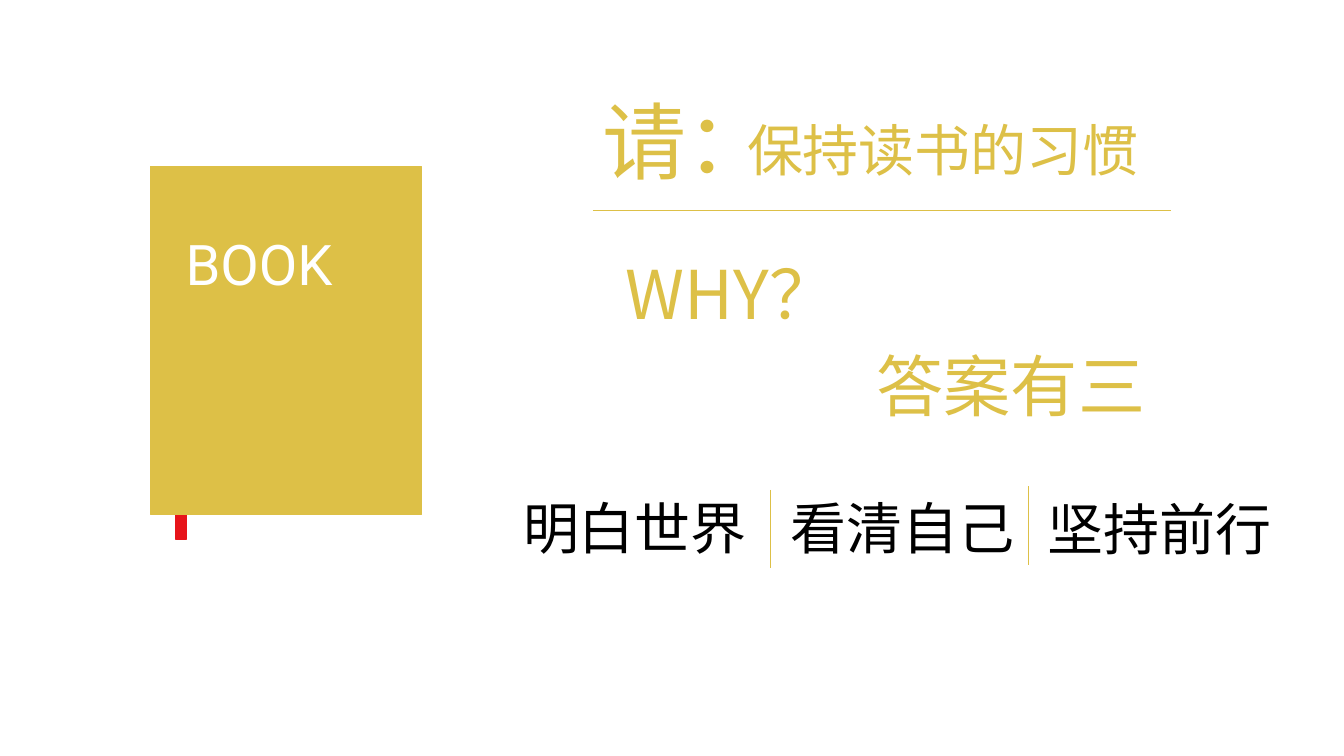
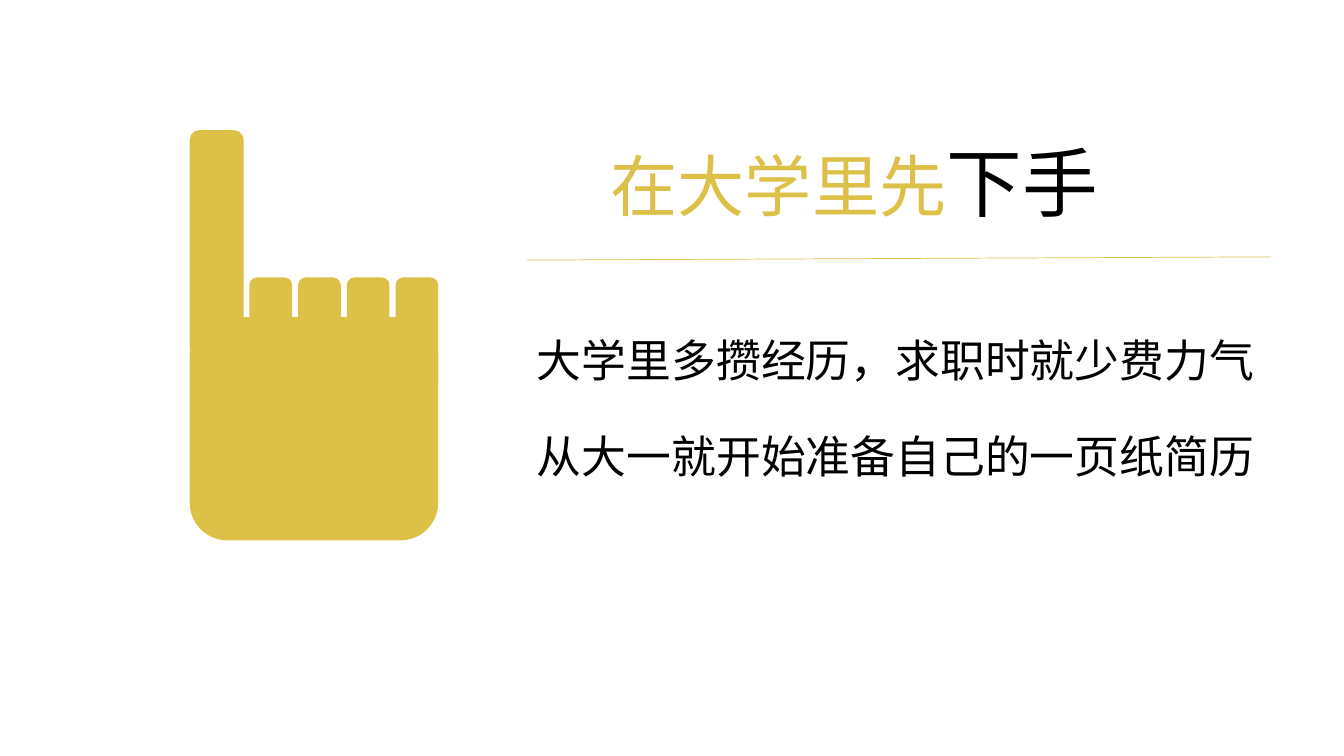
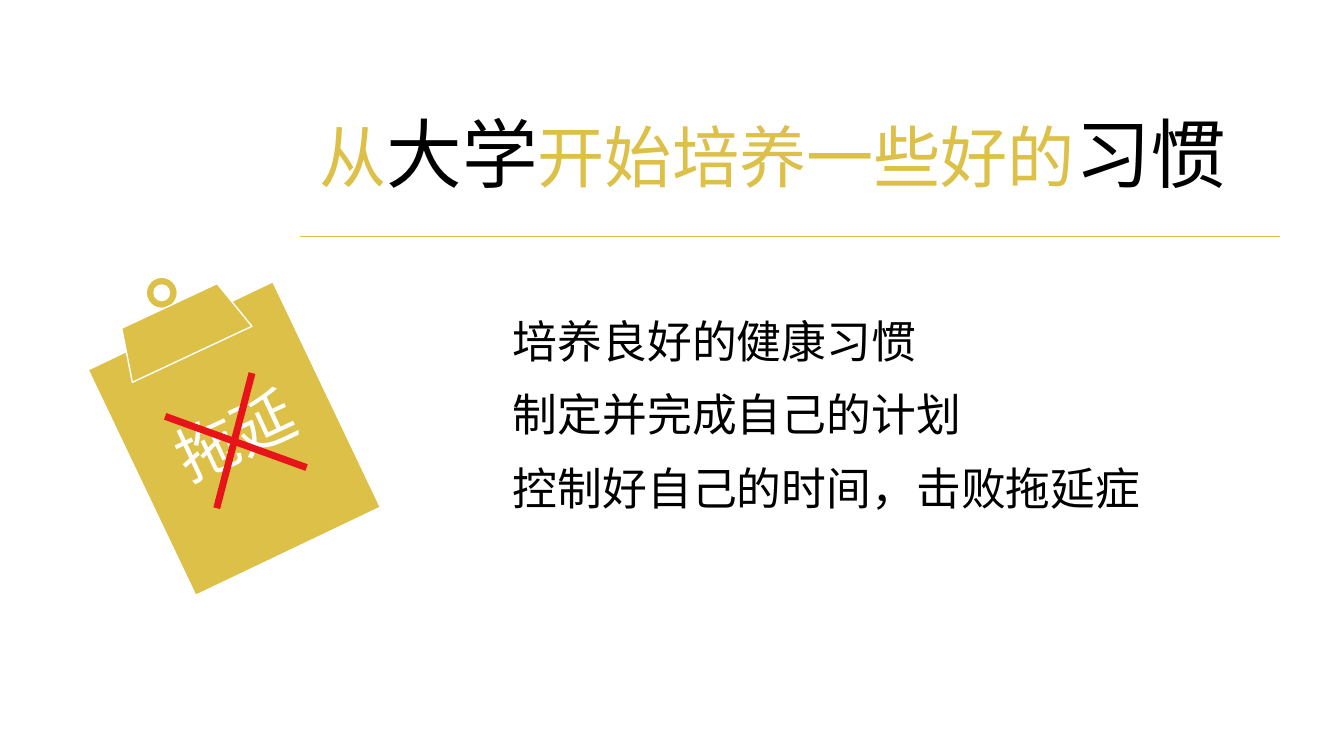
from lxml.etree import SubElement
from pptx import Presentation
from pptx.dml.color import RGBColor
from pptx.enum.shapes import MSO_CONNECTOR, MSO_SHAPE
from pptx.enum.text import MSO_AUTO_SIZE
from pptx.oxml.ns import qn
from pptx.util import Pt

GOLD, RED, BLACK, WHITE = "DDC047", "E7141A", "000000", "FFFFFF"
CJK, LATIN = "Noto Sans CJK SC", "Roboto"
RULE, STROKE = 0.5, 5
BODY, LABEL, HEAD, STRONG, CALL = 32, 40, 48, 54, 60

BOOK = [
    ((125.5, 348, 8, 37), RED),
    ((107.5, 119, 193.5, 248.5), GOLD),
]
READING_TEXTS = [
    ((125.5, 160.5, 161.5, 55.5), "BOOK", LABEL, WHITE, LATIN),
    ((423.5, 60.5, 135.5, 80), "请：", CALL, GOLD, CJK),
    ((526.5, 79, 297.5, 55.5), "保持读书的习惯", LABEL, GOLD, CJK),
    ((440, 177, 179, 65.5), "WHY？", HEAD, GOLD, CJK),
    ((619, 242.5, 208, 65.5), "答案有三", HEAD, GOLD, CJK),
    ((366.5, 349, 176.5, 55.5), "明白世界", LABEL, BLACK, CJK),
    ((557.5, 349, 176.5, 55.5), "看清自己", LABEL, BLACK, CJK),
    ((741.5, 350, 176.5, 55.5), "坚持前行", LABEL, BLACK, CJK),
]
READING_RULES = [
    (423.5, 150.5, 836.5, 150.5),
    (550, 350, 550, 406),
    (734.5, 347.5, 734.5, 403.5),
]

START_TITLE = [("在大学里先", HEAD, GOLD), ("下手", STRONG, BLACK)]
START_LINES = [
    ("大学里多攒经历，求职时就少费力气", 531.5),
    ("从大一就开始准备自己的一页纸简历", 531.5),
]
PALM = (136, 227, 176.5, 158.5)
INDEX_FINGER = (136, 93.5, 37.5, 160.5)
FINGER_COUNT, FINGER_STEP = 4, 34.8
FINGER_WIDTH, FINGER_TOP, FINGER_HEIGHT = 29.5, 198.7, 81.5

HABIT_TITLE = [
    ("从", HEAD, GOLD),
    ("大学", STRONG, BLACK),
    ("开始培养一些好的", HEAD, GOLD),
    ("习惯", STRONG, BLACK),
]
HABIT_LINES = [
    ("培养良好的健康习惯", 305),
    ("制定并完成自己的计划", 337.5),
    ("控制好自己的时间，击败拖延症", 466.5),
]
CLIPBOARD = [
    (MSO_SHAPE.RECTANGLE, (94.3, 224, 146.2, 178.5), 334.5),
    (MSO_SHAPE.DONUT, (104.4, 198, 22.3, 22.3), 0),
    (MSO_SHAPE.TRAPEZOID, (82, 216.7, 94.3, 38.2), 334.9),
]
CROSS = [(180, 266.5, 154.8, 363), (219, 334, 118, 297.4)]


def color(code):
    return RGBColor.from_string(code)


def add_figure(slide, preset, box, fill, outline, rotation=0):
    figure = slide.shapes.add_shape(preset, *map(Pt, box))
    figure.shadow.inherit = False
    figure.fill.solid()
    figure.fill.fore_color.rgb = color(fill)
    figure.line.color.rgb = color(outline)
    figure.line.width = Pt(1)
    figure.rotation = rotation


def add_line(slide, ends, stroke=GOLD, width=RULE):
    line = slide.shapes.add_connector(MSO_CONNECTOR.STRAIGHT, *map(Pt, ends))
    line.line.color.rgb = color(stroke)
    line.line.width = Pt(width)
    SubElement(line._element.spPr, qn("a:effectLst"))


def add_words(slide, box, runs, font=CJK, rotation=0):
    words = slide.shapes.add_textbox(*map(Pt, box))
    words.rotation = rotation
    frame = words.text_frame
    frame.word_wrap = False
    frame.auto_size = MSO_AUTO_SIZE.SHAPE_TO_FIT_TEXT
    for text, size, ink in runs:
        run = frame.paragraphs[0].add_run()
        run.text = text
        run.font.size = Pt(size)
        run.font.name = font
        run.font.color.rgb = color(ink)
        SubElement(run.font._element, qn("a:ea"), typeface=font)


def add_body(slide, lines, left, top, step):
    for row, (text, width) in enumerate(lines):
        add_words(slide, (left, top + row * step, width, 46), [(text, BODY, BLACK)])


def build_reading(slide):
    for box, fill in BOOK:
        add_figure(slide, MSO_SHAPE.RECTANGLE, box, fill, fill)
    for box, text, size, ink, font in READING_TEXTS:
        add_words(slide, box, [(text, size, ink)], font)
    for ends in READING_RULES:
        add_line(slide, ends)


def build_start(slide):
    palm_right = PALM[0] + PALM[2]
    first_left = palm_right - FINGER_WIDTH - (FINGER_COUNT - 1) * FINGER_STEP
    fingers = [
        (first_left + i * FINGER_STEP, FINGER_TOP, FINGER_WIDTH, FINGER_HEIGHT)
        for i in range(FINGER_COUNT)
    ]
    for box in [PALM, INDEX_FINGER, *fingers]:
        add_figure(slide, MSO_SHAPE.ROUNDED_RECTANGLE, box, GOLD, GOLD)
    add_words(slide, (429, 93.5, 366, 72.7), START_TITLE)
    add_line(slide, (376.5, 185.8, 908, 183.5))
    add_body(slide, START_LINES, 376.5, 234, 68.4)


def build_habits(slide):
    add_words(slide, (221, 72.7, 669, 72.7), HABIT_TITLE)
    add_line(slide, (214, 168.5, 914.5, 168.5))
    for preset, box, rotation in CLIPBOARD:
        add_figure(slide, preset, box, GOLD, WHITE, rotation)
    add_body(slide, HABIT_LINES, 359.3, 220.3, 52.6)
    add_words(slide, (116.6, 280, 103.7, 60.5), [("拖延", 44, WHITE)], rotation=335.1)
    for ends in CROSS:
        add_line(slide, ends, RED, STROKE)


def main():
    deck = Presentation()
    deck.slide_width, deck.slide_height = Pt(960), Pt(540)
    for build in (build_reading, build_start, build_habits):
        build(deck.slides.add_slide(deck.slide_layouts[6]))
    deck.save("out.pptx")


if __name__ == "__main__":
    main()
